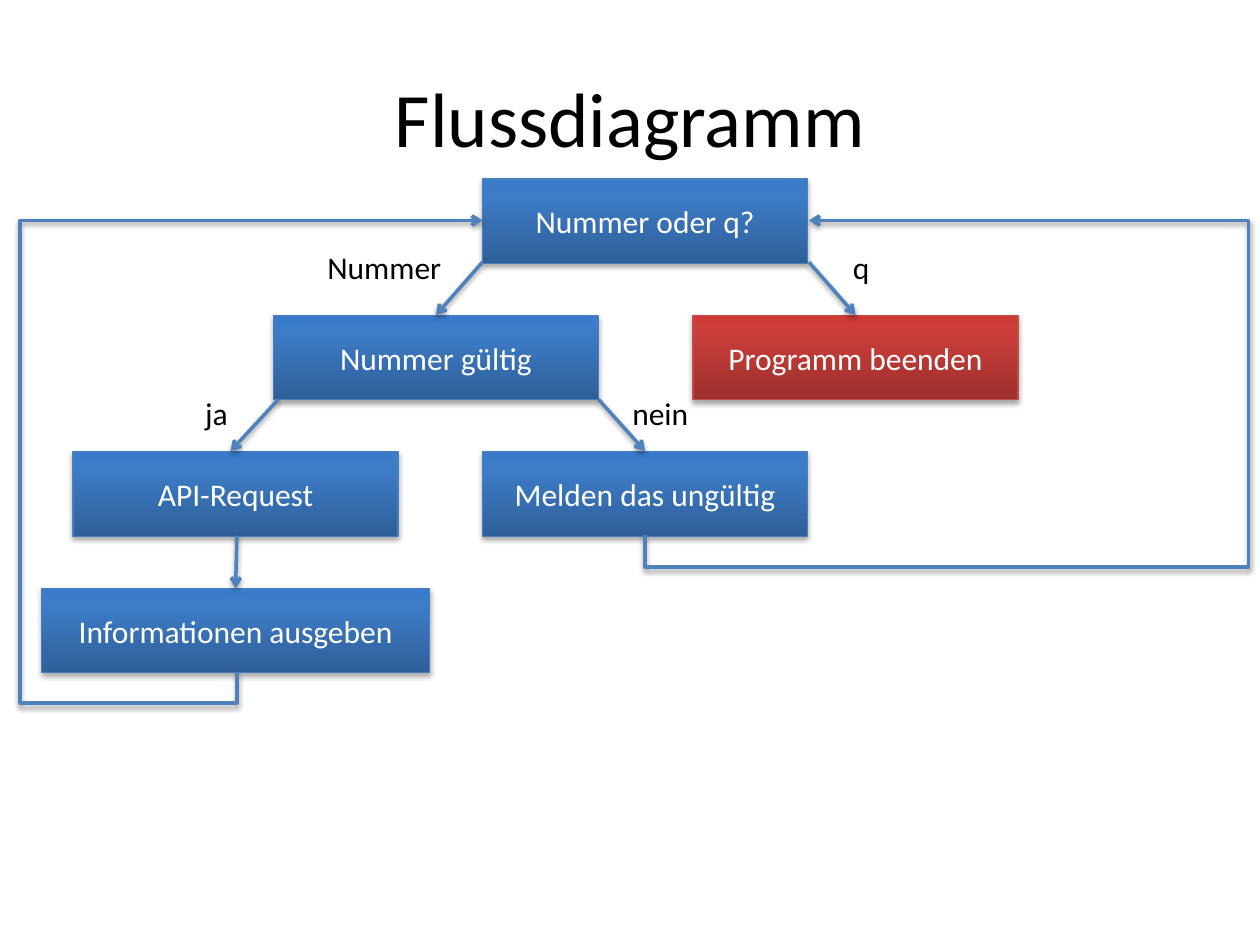
import dataclasses
import typing

import pptx
import pptx.dml.color
import pptx.enum.dml
import pptx.enum.shapes
import pptx.enum.text
import pptx.oxml
import pptx.oxml.ns
import pptx.util
from pptx.util import Inches

qn = pptx.oxml.ns.qn
CENTER = pptx.enum.text.PP_ALIGN.CENTER
LEFT = pptx.enum.text.PP_ALIGN.LEFT
MIDDLE = pptx.enum.text.MSO_ANCHOR.MIDDLE
TOP = pptx.enum.text.MSO_ANCHOR.TOP
Point = typing.Tuple[float, float]


@dataclasses.dataclass(frozen=True)
class Palette:
    stops: typing.Tuple[typing.Tuple[int, str], ...]
    outline: str


@dataclasses.dataclass(frozen=True)
class Theme:
    font: str = "Calibri"
    title_size: int = 44
    body_size: int = 18
    dark: str = "000000"
    light: str = "FFFFFF"
    arrow: str = "4F81BD"
    blue: Palette = Palette(((0, "2F5F99"), (80, "3D7CC7"), (100, "3A7CCB")), "4B7EBC")
    red: Palette = Palette(((0, "9C2F2D"), (80, "CB3E3A"), (100, "CE3B37")), "BF4C48")


THEME = Theme()
ROW_TOP, ROW_PITCH, BOX_HEIGHT = 1.42, 1.083, 0.67


@dataclasses.dataclass(frozen=True)
class Step:
    text: str
    left: float
    row: int
    width: float = 2.58
    palette: Palette = THEME.blue


@dataclasses.dataclass(frozen=True)
class Label:
    text: str
    left: float
    top: float
    width: float


@dataclasses.dataclass(frozen=True)
class Loop:
    start: Point
    end: Point
    side: float
    drop: float = 0.25


STEPS = [
    Step("Nummer oder q?", 3.83, 0),
    Step("Nummer gültig", 2.17, 1),
    Step("Melden das ungültig", 3.83, 2),
    Step("Programm beenden", 5.5, 1, palette=THEME.red),
    Step("API-Request", 0.58, 2),
    Step("Informationen ausgeben", 0.33, 3, width=3.08),
]
ARROWS = [
    ((3.83, 2.08), (3.46, 2.5)),
    ((2.21, 3.17), (1.83, 3.58)),
    ((6.42, 2.08), (6.79, 2.5)),
    ((4.75, 3.17), (5.12, 3.58)),
    ((1.88, 4.25), (1.87, 4.67)),
]
LOOPS = [
    Loop((1.88, 5.33), (3.83, 1.75), 0.16),
    Loop((5.12, 4.25), (6.42, 1.75), 9.91),
]
LABELS = [
    Label("Nummer", 2.5, 1.92, 1.11),
    Label("q", 6.67, 1.92, 0.33),
    Label("ja", 1.53, 3.08, 0.38),
    Label("nein", 4.92, 3.08, 0.65),
]


def rgb(color: str) -> pptx.dml.color.RGBColor:
    return pptx.dml.color.RGBColor.from_string(color)


def write_text(shape, text: str, *, size: int = THEME.body_size, color: str = THEME.dark,
               align=LEFT, anchor=TOP, wrap: bool = True) -> None:
    frame = shape.text_frame
    frame.word_wrap = wrap
    frame.vertical_anchor = anchor
    paragraph = frame.paragraphs[0]
    paragraph.alignment = align
    run = paragraph.add_run()
    run.text = text
    run.font.name = THEME.font
    run.font.size = pptx.util.Pt(size)
    run.font.color.rgb = rgb(color)


def add_shadow(properties, distance: int, opacity: int) -> None:
    for effects in properties.findall(qn("a:effectLst")):
        properties.remove(effects)
    properties.append(pptx.oxml.parse_xml(
        f'<a:effectLst {pptx.oxml.ns.nsdecls("a")}>'
        f'<a:outerShdw blurRad="40000" dist="{distance}" dir="5400000" rotWithShape="0">'
        f'<a:srgbClr val="000000"><a:alpha val="{opacity * 1000}"/></a:srgbClr>'
        '</a:outerShdw></a:effectLst>'))


def fill_gradient(shape, palette: Palette) -> None:
    shape.fill.gradient()
    shape.fill.gradient_angle = 90
    old_stops = shape._element.spPr.find(".//" + qn("a:gsLst"))
    stops = "".join(
        f'<a:gs pos="{position * 1000}"><a:srgbClr val="{color}"/></a:gs>'
        for position, color in palette.stops)
    old_stops.getparent().replace(old_stops, pptx.oxml.parse_xml(
        f'<a:gsLst {pptx.oxml.ns.nsdecls("a")}>{stops}</a:gsLst>'))


def add_step(slide, step: Step) -> None:
    shape = slide.shapes.add_shape(
        pptx.enum.shapes.MSO_SHAPE.RECTANGLE, Inches(step.left),
        Inches(ROW_TOP + step.row * ROW_PITCH), Inches(step.width), Inches(BOX_HEIGHT))
    shape.shadow.inherit = False
    fill_gradient(shape, step.palette)
    shape.line.color.rgb = rgb(step.palette.outline)
    shape.line.width = pptx.util.Pt(0.75)
    add_shadow(shape._element.spPr, 23000, 35)
    write_text(shape, step.text, color=THEME.light, align=CENTER, anchor=MIDDLE)


def add_arrow(slide, start: Point, end: Point,
              kind=pptx.enum.shapes.MSO_CONNECTOR.STRAIGHT):
    connector = slide.shapes.add_connector(kind, *map(Inches, start + end))
    connector.line.color.rgb = rgb(THEME.arrow)
    connector.line.width = pptx.util.Pt(2)
    connector.line._get_or_add_ln().append(pptx.oxml.parse_xml(
        f'<a:tailEnd {pptx.oxml.ns.nsdecls("a")} type="arrow"/>'))
    add_shadow(connector._element.spPr, 20000, 38)
    return connector


def add_loop(slide, loop: Loop) -> None:
    (start_x, start_y), (end_x, end_y) = loop.start, loop.end
    center_x, center_y = (start_x + end_x) / 2, (start_y + end_y) / 2
    half_width, half_height = (start_y - end_y) / 2, (end_x - start_x) / 2
    connector = add_arrow(
        slide, (center_x + half_width, center_y + half_height),
        (center_x - half_width, center_y - half_height),
        pptx.enum.shapes.MSO_CONNECTOR.ELBOW)
    properties = connector._element.spPr
    properties.find(qn("a:xfrm")).set("rot", "5400000")
    drop = round(-loop.drop / (start_y - end_y) * 100000)
    reach = round((loop.side - start_x) / (end_x - start_x) * 100000)
    geometry = properties.find(qn("a:prstGeom"))
    properties.replace(geometry, pptx.oxml.parse_xml(
        f'<a:prstGeom {pptx.oxml.ns.nsdecls("a")} prst="bentConnector4"><a:avLst>'
        f'<a:gd name="adj1" fmla="val {drop}"/><a:gd name="adj2" fmla="val {reach}"/>'
        '</a:avLst></a:prstGeom>'))


def add_label(slide, label: Label) -> None:
    shape = slide.shapes.add_textbox(
        Inches(label.left), Inches(label.top), Inches(label.width), Inches(0.4))
    write_text(shape, label.text, wrap=False)
    shape.text_frame.auto_size = pptx.enum.text.MSO_AUTO_SIZE.SHAPE_TO_FIT_TEXT


def main() -> None:
    presentation = pptx.Presentation()
    presentation.slide_width, presentation.slide_height = Inches(10), Inches(7.5)
    slide = presentation.slides.add_slide(presentation.slide_layouts[5])
    title = slide.shapes.title
    title.left, title.top, title.width, title.height = map(Inches, (0.5, 0.3, 9, 1.25))
    write_text(title, "Flussdiagramm", size=THEME.title_size, align=CENTER, anchor=MIDDLE)
    for step in STEPS:
        add_step(slide, step)
    for start, end in ARROWS:
        add_arrow(slide, start, end)
    for loop in LOOPS:
        add_loop(slide, loop)
    for label in LABELS:
        add_label(slide, label)
    presentation.save("out.pptx")


main()
